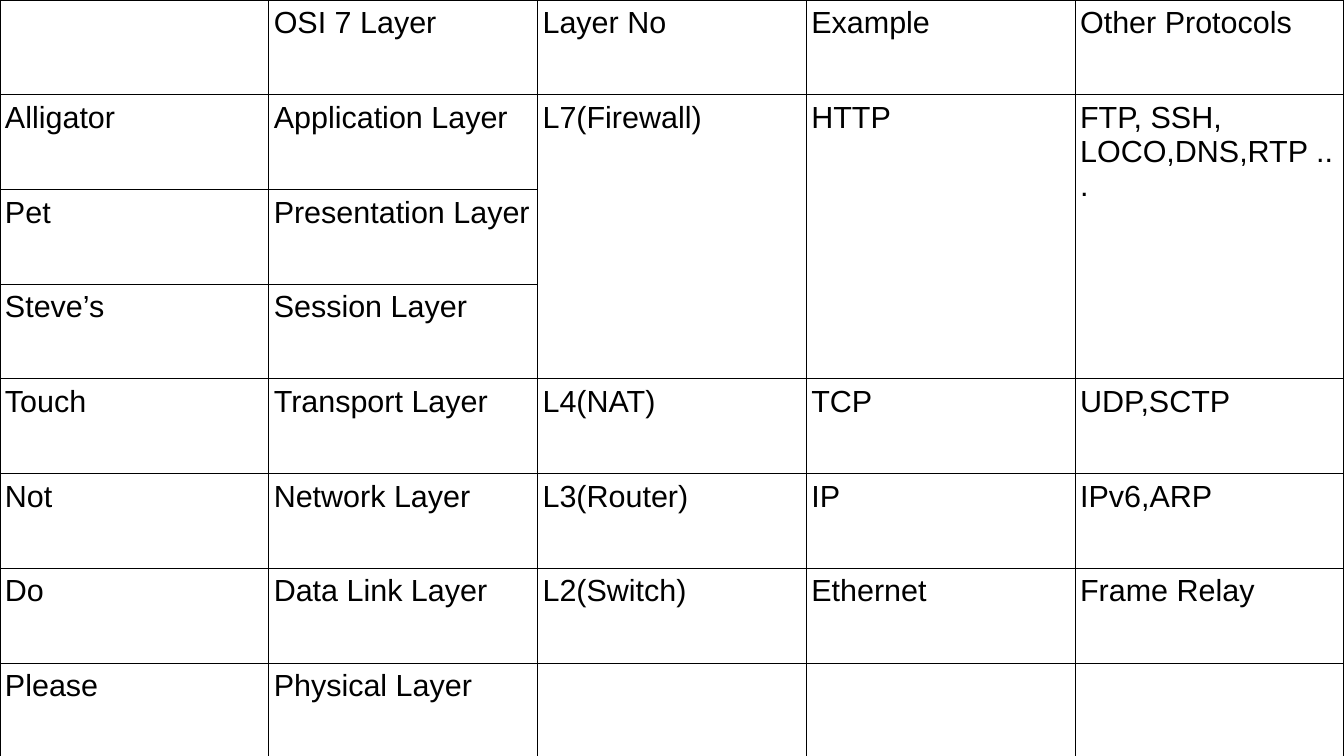
from lxml import etree
from pptx import Presentation
from pptx import util as u
from pptx.dml.color import RGBColor
from pptx.oxml import ns

COLORS = {"ink": "000000"}
LAYERS = [
    ["", "OSI 7 Layer", "Layer No", "Example", "Other Protocols"],
    ["Alligator", "Application Layer", "L7(Firewall)", "HTTP", "FTP, SSH, LOCO,DNS,RTP ..."],
    ["Pet", "Presentation Layer", "", "", ""],
    ["Steve’s", "Session Layer", "", "", ""],
    ["Touch", "Transport Layer", "L4(NAT)", "TCP", "UDP,SCTP"],
    ["Not", "Network Layer", "L3(Router)", "IP", "IPv6,ARP"],
    ["Do", "Data Link Layer", "L2(Switch)", "Ethernet", "Frame Relay"],
    ["Please", "Physical Layer", "", "", ""],
]


def px(n):
    return u.Emu(n * 914400 // 122)


class Deck:
    font = "Arial"
    size = u.Pt(18)
    border = u.Pt(0.57)

    def __init__(self, width, height):
        self.prs = Presentation()
        self.prs.slide_width, self.prs.slide_height = px(width), px(height)
        self.s = self.prs.slides.add_slide(self.prs.slide_layouts[6])

    def table(self, x, y, w, h, rows, merges):
        shape = self.s.shapes.add_table(len(rows), len(rows[0]), px(x), px(y), px(w), px(h))
        table = shape.table
        table.first_row = table.horz_banding = False
        for r, row in enumerate(rows):
            for c, words in enumerate(row):
                self.cell(table.cell(r, c), words)
        for first, last in merges:
            table.cell(*first).merge(table.cell(*last))

    def cell(self, cell, words):
        cell.margin_left = cell.margin_right = px(5)
        cell.margin_top = cell.margin_bottom = px(6)
        cell.fill.background()
        self.borders(cell)
        p = cell.text_frame.paragraphs[0]
        p.text = words
        p.font.name, p.font.size = self.font, self.size
        p.font.color.rgb = RGBColor.from_string(COLORS["ink"])

    def borders(self, cell):
        props = cell._tc.get_or_add_tcPr()
        for i, side in enumerate("LRTB"):
            line = etree.Element(ns.qn(f"a:ln{side}"), w=str(self.border))
            fill = etree.SubElement(line, ns.qn("a:solidFill"))
            etree.SubElement(fill, ns.qn("a:srgbClr"), val=COLORS["ink"])
            props.insert(i, line)


def main():
    deck = Deck(1344, 756)
    deck.table(0, 0, 1344, 758, LAYERS, [((1, c), (3, c)) for c in (2, 3, 4)])
    deck.prs.save("out.pptx")


if __name__ == "__main__":
    main()
